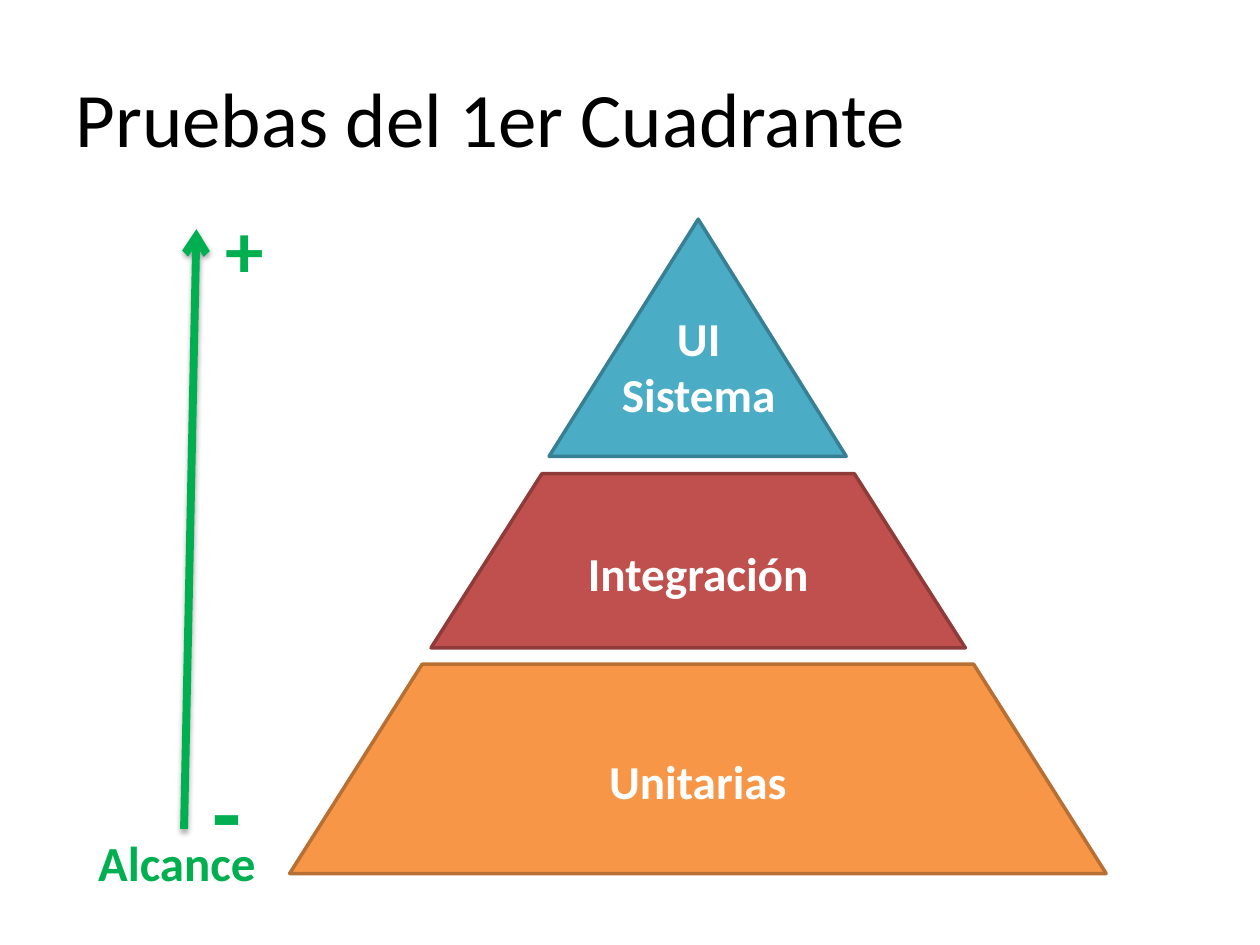
from lxml import etree
from pptx import Presentation
from pptx import util as u
from pptx.dml.color import RGBColor
from pptx.enum import shapes, text
from pptx.oxml import parse_xml

FONT = "Calibri"
COLORS = {
    "title": "000000", "scope": "00B050", "label": "FFFFFF",
    "system": "4BACC6", "system_edge": "377F92",
    "integration": "C0504D", "integration_edge": "8E3B39",
    "unit": "F79646", "unit_edge": "B76F34",
}
NAMESPACE = "http://schemas.openxmlformats.org/drawingml/2006/main"

# Content: boxes are left, top, width, height in centimetres
TITLE = "Pruebas del 1er Cuadrante"
TITLE_BOX = (1.27, 0.76, 23.55, 3.18)
ARROW = (3.71, 16.71, 3.96, 4.62)
SCOPE_LABELS = [
    ("Alcance", 28, (1.73, 16.66, 3.73, 1.45)),
    ("+", 44, (4.29, 3.94, 1.3, 2.13)),
    ("-", 54, (4.04, 15.06, 1.09, 2.57)),
]
LEVELS = [
    ("Integración", "integration", "TRAPEZOID", 0.637, (8.69, 9.55, 10.77, 3.51)),
    ("Unitarias", "unit", "TRAPEZOID", 0.633, (5.84, 13.39, 16.46, 4.22)),
    ("", "system", "ISOSCELES_TRIANGLE", 0.502, (11.07, 4.42, 5.99, 4.78)),
]
TOP_LINES = ["UI", "Sistema"]
TOP_BOX = (12.27, 6.1, 3.63, 2.57)
LEVEL_SIZE = 27


def color(name):
    return RGBColor.from_string(COLORS[name])


def cm(values):
    return [u.Cm(value) for value in values]


def write(frame, lines, size, color_name, bold=True, align=text.PP_ALIGN.LEFT):
    paragraph = frame.paragraphs[0]
    paragraph.alignment = align
    for index, line in enumerate(lines):
        if index:
            paragraph.add_line_break()
        run = paragraph.add_run()
        run.text = line
        run.font.name, run.font.size, run.font.bold = FONT, u.Pt(size), bold
        run.font.color.rgb = color(color_name)


def add_label(parent, lines, size, box, color_name, align=text.PP_ALIGN.LEFT):
    frame = parent.add_textbox(*cm(box)).text_frame
    frame.word_wrap = False
    frame.auto_size = text.MSO_AUTO_SIZE.SHAPE_TO_FIT_TEXT
    write(frame, lines, size, color_name, align=align)


def add_scope_arrow(slide):
    arrow = slide.shapes.add_connector(shapes.MSO_CONNECTOR.STRAIGHT, *cm(ARROW))
    arrow.line.color.rgb = color("scope")
    arrow.line.width = u.Pt(4.5)
    etree.SubElement(arrow.line._get_or_add_ln(), f"{{{NAMESPACE}}}tailEnd", type="arrow")
    arrow._element.spPr.append(parse_xml(
        f'<a:effectLst xmlns:a="{NAMESPACE}">'
        '<a:outerShdw blurRad="40000" dist="23000" dir="5400000" rotWithShape="0">'
        '<a:srgbClr val="000000"><a:alpha val="35000"/></a:srgbClr>'
        '</a:outerShdw></a:effectLst>'))


def add_level(parent, label, name, kind, adjustment, box):
    level = parent.add_shape(getattr(shapes.MSO_SHAPE, kind), *cm(box))
    level.adjustments[0] = adjustment
    level.shadow.inherit = False
    level.fill.solid()
    level.fill.fore_color.rgb = color(name)
    level.line.color.rgb = color(name + "_edge")
    level.line.width = u.Pt(2)
    if label:
        level.text_frame.vertical_anchor = text.MSO_ANCHOR.MIDDLE
        write(level.text_frame, [label], LEVEL_SIZE, "label", align=text.PP_ALIGN.CENTER)


def main():
    presentation = Presentation()
    presentation.slide_width, presentation.slide_height = cm((25.4, 19.05))
    slide = presentation.slides.add_slide(presentation.slide_layouts[5])

    # Title
    title = slide.shapes.title
    title.left, title.top, title.width, title.height = cm(TITLE_BOX)
    title.text_frame.vertical_anchor = text.MSO_ANCHOR.MIDDLE
    write(title.text_frame, [TITLE], 44, "title", bold=False)

    # Scope axis
    add_scope_arrow(slide)
    for label, size, box in SCOPE_LABELS:
        add_label(slide.shapes, [label], size, box, "scope")

    # Test pyramid
    pyramid = slide.shapes.add_group_shape().shapes
    for level in LEVELS:
        add_level(pyramid, *level)
    add_label(pyramid, TOP_LINES, LEVEL_SIZE, TOP_BOX, "label", text.PP_ALIGN.CENTER)

    presentation.save("out.pptx")


if __name__ == "__main__":
    main()
